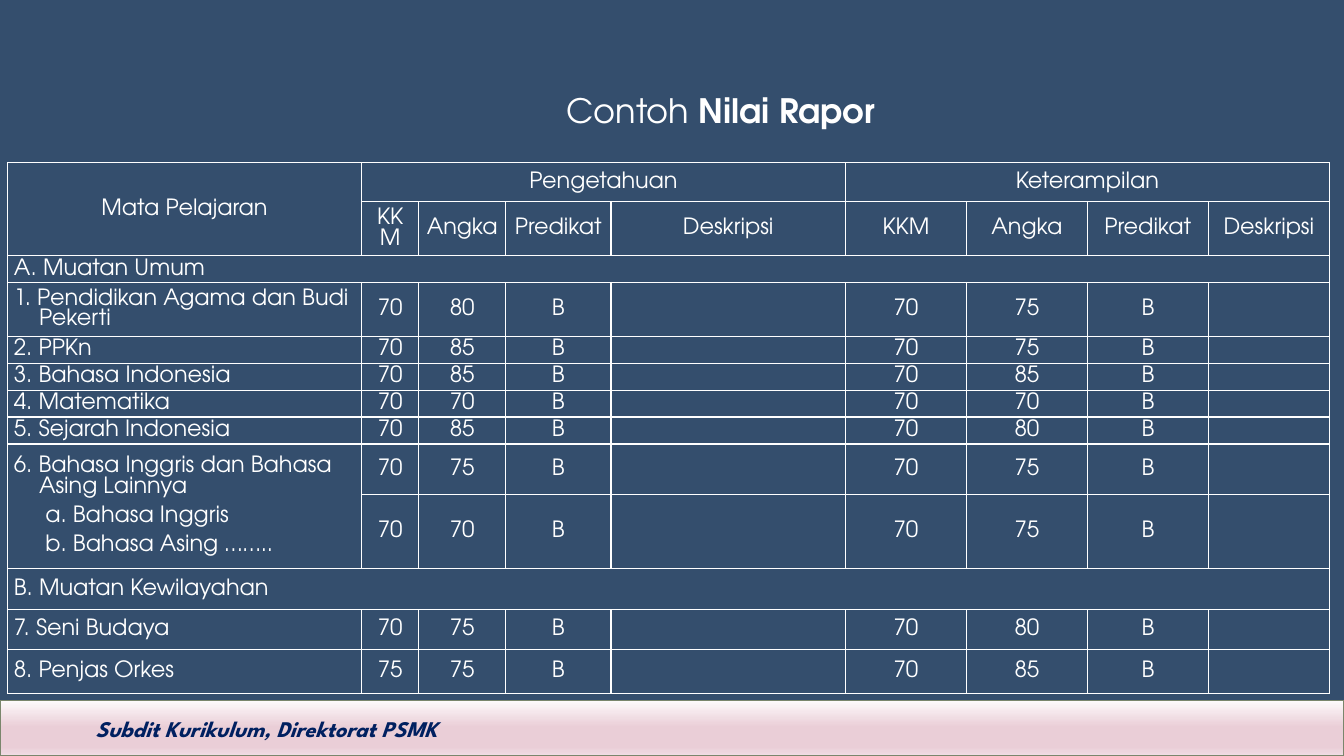
from lxml.etree import SubElement
from pptx import Presentation
from pptx.dml.color import RGBColor
from pptx.enum.shapes import MSO_SHAPE
from pptx.enum.text import MSO_ANCHOR, MSO_AUTO_SIZE, PP_ALIGN
from pptx.oxml import parse_xml
from pptx.oxml.ns import nsdecls, qn
from pptx.util import Pt

THEME = {
    "background": "344E6D", "text": "FFFFFF", "footer": "002060", "bar_line": "7A866C",
    "bar": [(0, "FDFAFB"), (48, "EACED7"), (84, "EACED7"), (100, "F1DEE5")],
    "font": "TeX Gyre Adventor", "footer_font": "League Spartan",
    "title_size": 24, "body_size": 16, "empty_size": 12,
}


def add_run(p, text, size=THEME["body_size"], font=THEME["font"], color=THEME["text"], bold=False, italic=False):
    r = p.add_run()
    r.text = text
    r.font.size = Pt(size)
    r.font.name = font
    r.font.color.rgb = RGBColor.from_string(color)
    r.font.bold = bold
    r.font.italic = italic


def fill_cell(cell, paragraphs, align, spacing):
    cell.vertical_anchor = MSO_ANCHOR.MIDDLE
    for i, (text, left, indent) in enumerate(paragraphs):
        p = cell.text_frame.paragraphs[0] if i == 0 else cell.text_frame.add_paragraph()
        p.alignment = align
        p.space_before = p.space_after = Pt(spacing)
        pPr = p._p.get_or_add_pPr()
        pPr.set("marL", str(Pt(left)))
        pPr.set("indent", str(Pt(indent)))
        add_run(p, text)


prs = Presentation()
prs.slide_width, prs.slide_height = Pt(960), Pt(540)
s = prs.slides.add_slide(prs.slide_layouts[6])
s.background.fill.solid()
s.background.fill.fore_color.rgb = RGBColor.from_string(THEME["background"])

bar = s.shapes.add_shape(MSO_SHAPE.RECTANGLE, Pt(0), Pt(500.4), Pt(960), Pt(39.6))
bar.shadow.inherit = False
bar.line.color.rgb = RGBColor.from_string(THEME["bar_line"])
bar.line.width = Pt(1)
bar.fill.gradient()
grad = bar._element.spPr.find(qn("a:gradFill"))
for child in list(grad):
    grad.remove(child)
stops = SubElement(grad, qn("a:gsLst"))
for position, color in THEME["bar"]:
    stop = SubElement(stops, qn("a:gs"), pos=str(position * 1000))
    SubElement(stop, qn("a:srgbClr"), val=color)
SubElement(grad, qn("a:lin"), ang="5400000", scaled="0")

footer = s.shapes.add_textbox(Pt(61.2), Pt(507.6), Pt(275.8), Pt(26.6))
tf = footer.text_frame
tf.word_wrap = False
tf.auto_size = MSO_AUTO_SIZE.SHAPE_TO_FIT_TEXT
add_run(tf.paragraphs[0], "Subdit Kurikulum, Direktorat PSMK", font=THEME["footer_font"],
        color=THEME["footer"], bold=True, italic=True)

col_widths = [252.8, 41, 62, 75.2, 167.6] + [86.4] * 4
row_heights = [28, 38, 19.2, 38.4] + [19.2] * 4 + [36, 53, 29.5, 28.5, 31.5]
headings = ["KKM", "Angka", "Predikat", "Deskripsi"]
sections = {2: "A. Muatan Umum", 10: "B. Muatan Kewilayahan"}
subjects = {
    3: [("1. Pendidikan Agama dan Budi Pekerti", 18, -18)],
    4: [("2. PPKn", 0, 0)],
    5: [("3. Bahasa Indonesia", 0, 0)],
    6: [("4. Matematika", 0, 0)],
    7: [("5. Sejarah Indonesia", 0, 0)],
    8: [("6. Bahasa Inggris dan Bahasa Asing Lainnya", 18, -18),
        ("a. Bahasa Inggris", 0, 22.5), ("b. Bahasa Asing ……..", 0, 22.5)],
    11: [("7. Seni Budaya", 0, 0)],
    12: [("8. Penjas Orkes", 0, 0)],
}
scores = {
    3: (70, 80, 70, 75), 4: (70, 85, 70, 75), 5: (70, 85, 70, 85), 6: (70, 70, 70, 70),
    7: (70, 85, 70, 80), 8: (70, 75, 70, 75), 9: (70, 70, 70, 75),
    11: (70, 75, 70, 80), 12: (75, 75, 70, 85),
}

frame = s.shapes.add_table(len(row_heights), len(col_widths), Pt(5.4), Pt(116.2),
                           Pt(sum(col_widths)), Pt(sum(row_heights)))
table = frame.table
table.first_row = table.horz_banding = False
for col, width in zip(table.columns, col_widths):
    col.width = Pt(width)
for row, height in zip(table.rows, row_heights):
    row.height = Pt(height)

for cell in table.iter_cells():
    cell.margin_left = cell.margin_right = Pt(4.5)
    cell.margin_top = cell.margin_bottom = Pt(0)
    tcPr = cell._tc.get_or_add_tcPr()
    for side in ("lnL", "lnR", "lnT", "lnB"):
        tcPr.append(parse_xml(
            f'<a:{side} {nsdecls("a")} w="{Pt(1)}"><a:solidFill>'
            f'<a:srgbClr val="{THEME["text"]}"/></a:solidFill></a:{side}>'))
    cell.fill.background()

merges = [(0, 0, 1, 0), (0, 1, 0, 4), (0, 5, 0, 8), (8, 0, 9, 0)] + [(row, 0, row, 8) for row in sections]
for top, left, bottom, right in merges:
    table.cell(top, left).merge(table.cell(bottom, right))

fill_cell(table.cell(0, 0), [("Mata Pelajaran", 0, 0)], PP_ALIGN.CENTER, 0)
for col, group in ((1, "Pengetahuan"), (5, "Keterampilan")):
    fill_cell(table.cell(0, col), [(group, 0, 0)], PP_ALIGN.CENTER, 2)
for col, heading in enumerate(headings * 2, 1):
    fill_cell(table.cell(1, col), [(heading, 0, 0)], PP_ALIGN.CENTER, 0)
for row, section in sections.items():
    fill_cell(table.cell(row, 0), [(section, 0, 0)], PP_ALIGN.LEFT, 3)
for row, paragraphs in subjects.items():
    fill_cell(table.cell(row, 0), paragraphs, PP_ALIGN.LEFT, 3)
for row, (kkm1, angka1, kkm2, angka2) in scores.items():
    for col, value in ((1, kkm1), (2, angka1), (3, "B"), (5, kkm2), (6, angka2), (7, "B")):
        fill_cell(table.cell(row, col), [(str(value), 0, 0)], PP_ALIGN.CENTER, 3)

for cell in table.iter_cells():
    if not cell.text_frame.text:
        SubElement(cell.text_frame.paragraphs[0]._p, qn("a:endParaRPr"), sz=str(THEME["empty_size"] * 100))

title = s.shapes.add_textbox(Pt(316), Pt(60.5), Pt(397.5), Pt(36))
tf = title.text_frame
tf.word_wrap = True
tf.auto_size = MSO_AUTO_SIZE.SHAPE_TO_FIT_TEXT
tf.vertical_anchor = MSO_ANCHOR.MIDDLE
p = tf.paragraphs[0]
p.alignment = PP_ALIGN.CENTER
add_run(p, "Contoh ", THEME["title_size"])
add_run(p, "Nilai Rapor", THEME["title_size"], bold=True)

prs.save("out.pptx")
